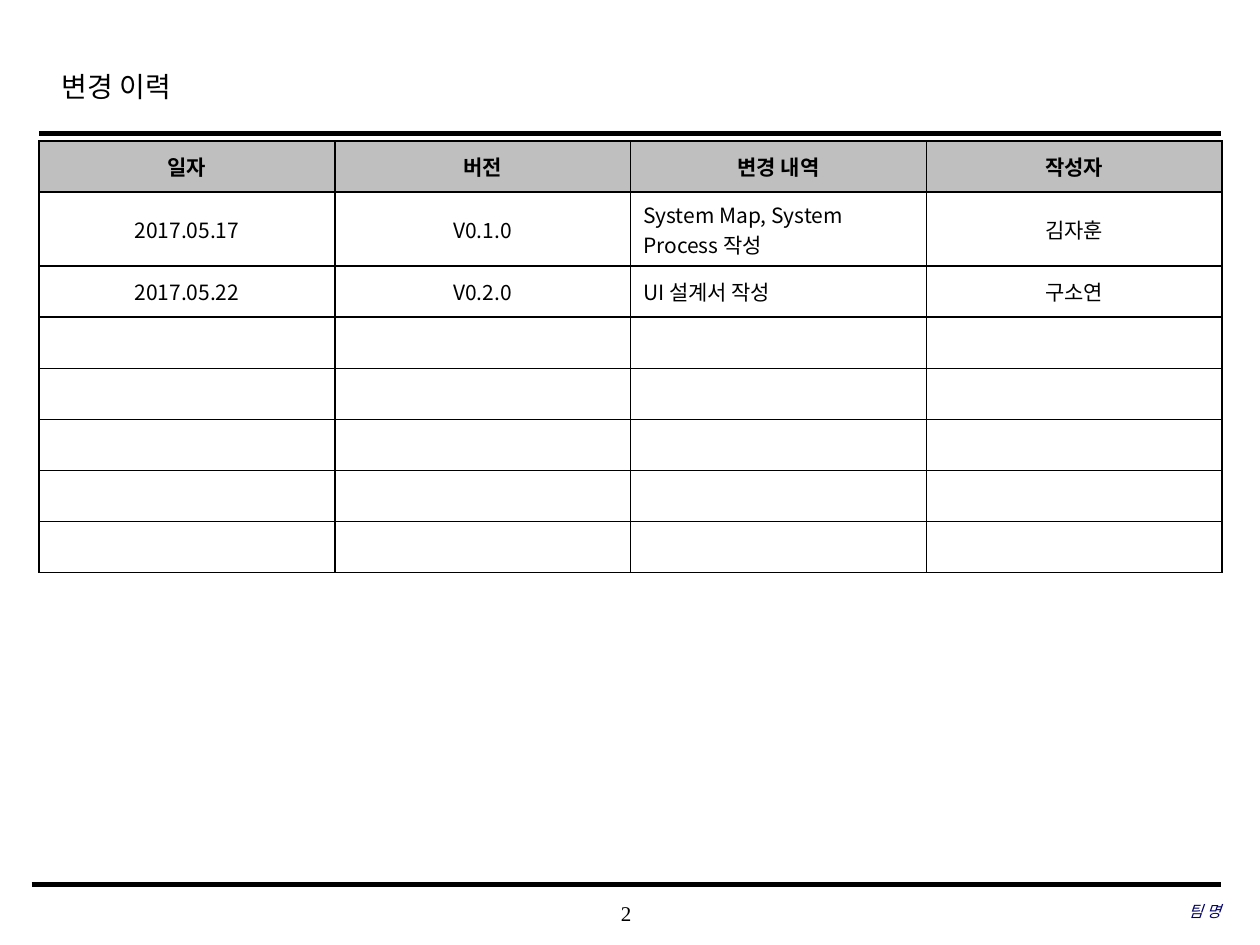
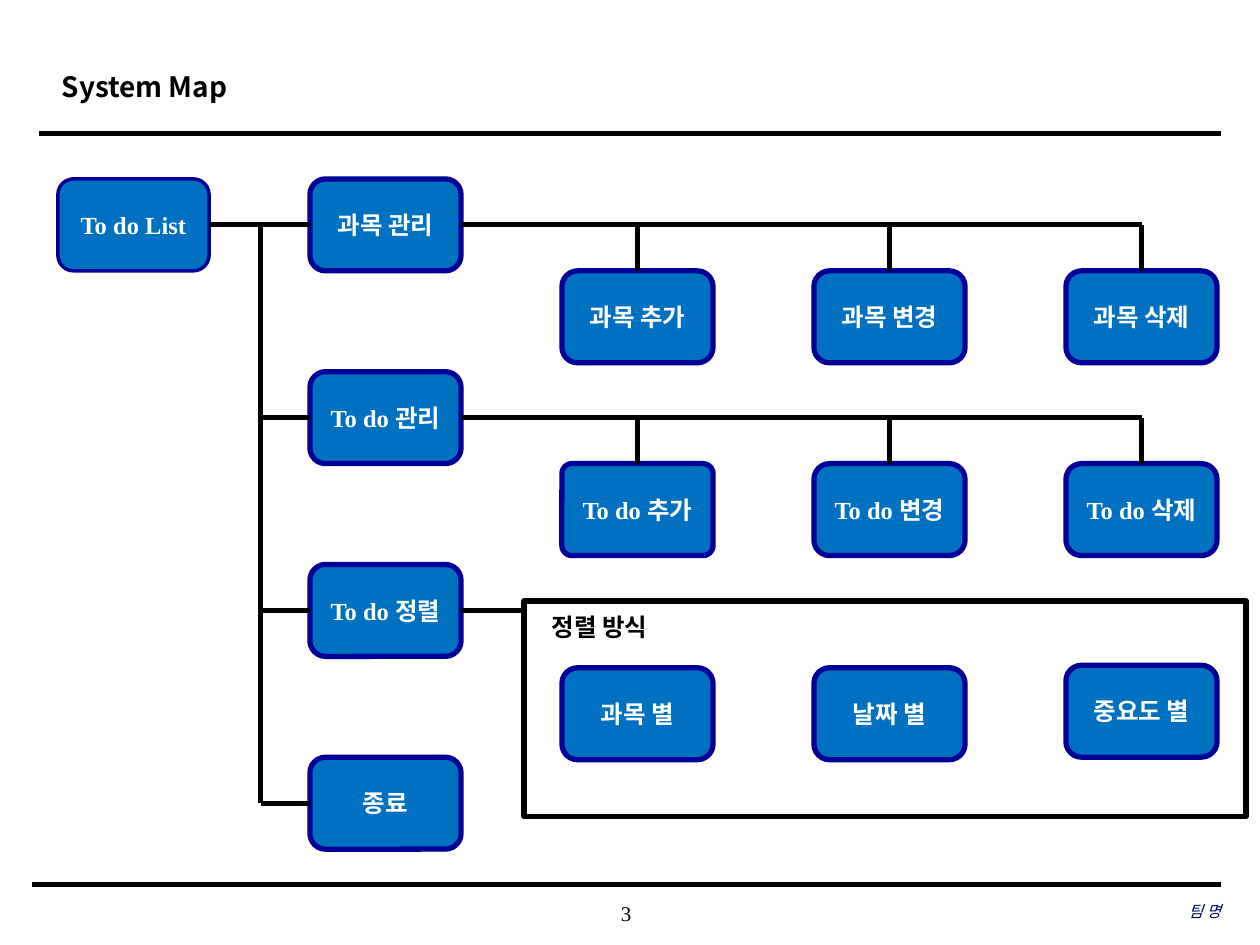
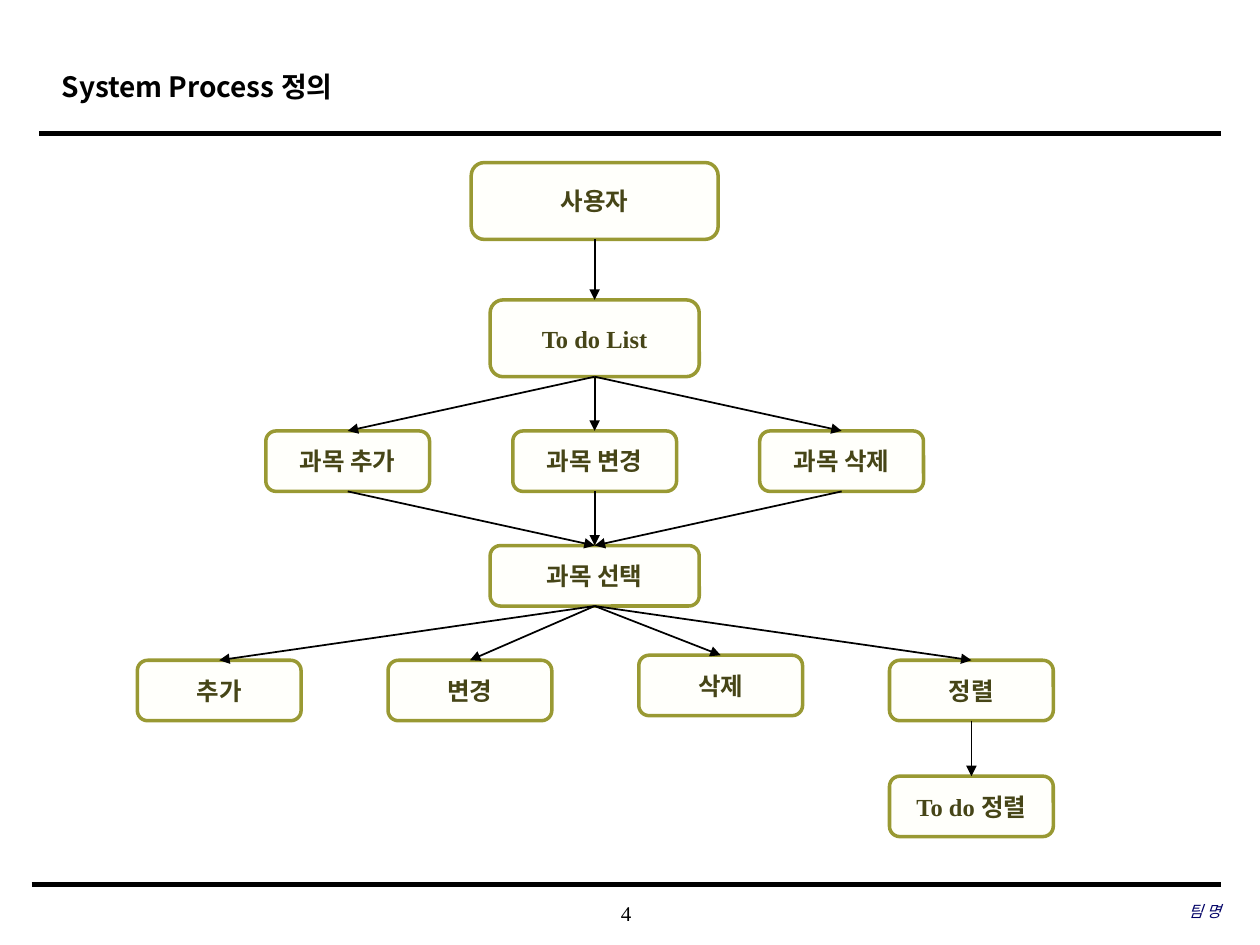
from dataclasses import dataclass
from typing import NamedTuple, Union

from lxml.etree import SubElement
from pptx import Presentation
from pptx.dml.color import RGBColor
from pptx.enum.shapes import MSO_CONNECTOR, MSO_SHAPE
from pptx.enum.text import MSO_ANCHOR, MSO_AUTO_SIZE, PP_ALIGN
from pptx.oxml.ns import qn
from pptx.util import Cm, Emu, Inches, Pt

SERIF = "Times New Roman"
SANS = "Noto Sans CJK KR"
BLACK = "000000"
WHITE = "FFFFFF"
HEADER_GREY = "BFBFBF"
TEAM_NAVY = "000066"

SLIDE_W, SLIDE_H = Inches(10), Inches(7.5)
COLUMNS, ROWS = 10, 7.5
TOP, LEFT, BOTTOM, RIGHT = range(4)
TITLE_LAYOUT = 5
TABLE_ROWS = 8
ONE_LINE, TWO_LINES = Cm(1.03), Cm(1.49)


class Point(NamedTuple):
    x: float
    y: float


class Area(NamedTuple):
    x: float
    y: float
    w: float
    h: float


class Side(NamedTuple):
    shape: object
    site: int


class BoxStyle(NamedTuple):
    fill: str
    line: str
    text: str
    weight: float


@dataclass(frozen=True)
class TextStyle:
    size: float
    font: str = SERIF
    color: str = BLACK
    bold: bool = False
    italic: bool = False


@dataclass(frozen=True)
class Box:
    text: str
    area: Area
    weight: float = 0
    rounding: float = 0.17


End = Union[Point, Side]

MAP_STYLE = BoxStyle("0070C0", "000099", WHITE, 3)
FLOW_STYLE = BoxStyle("FFFFFB", "999933", "464517", 2)


def col(n: float) -> Emu:
    return Emu(round(SLIDE_W * n / COLUMNS))


def row(n: float) -> Emu:
    return Emu(round(SLIDE_H * n / ROWS))


def place(area: Area) -> tuple:
    return col(area.x), row(area.y), col(area.w), row(area.h)


def rgb(value: str) -> RGBColor:
    return RGBColor.from_string(value)


def write(p, text: str, style: TextStyle, align=PP_ALIGN.LEFT) -> None:
    p.alignment = align
    r = p.add_run()
    r.text = text
    font = r.font
    font.size, font.bold, font.italic = Pt(style.size), style.bold, style.italic
    font.color.rgb = rgb(style.color)
    font.name = style.font
    SubElement(font._element, qn("a:ea")).set("typeface", SANS)


def add_label(s, area: Area, text: str, style: TextStyle, align=PP_ALIGN.LEFT,
              inset: bool = False) -> None:
    tf = s.shapes.add_textbox(*place(area)).text_frame
    tf.word_wrap = True
    if not inset:
        tf.vertical_anchor = MSO_ANCHOR.MIDDLE
        tf.margin_left = tf.margin_right = tf.margin_top = tf.margin_bottom = 0
    write(tf.paragraphs[0], text, style, align)


def add_shape(s, kind, area: Area, fill: str, line: str, weight: float):
    sp = s.shapes.add_shape(kind, *place(area))
    sp.shadow.inherit = False
    sp.fill.solid()
    sp.fill.fore_color.rgb = rgb(fill)
    sp.line.color.rgb = rgb(line)
    sp.line.width = Pt(weight)
    return sp


def add_box(s, box: Box, style: BoxStyle):
    sp = add_shape(s, MSO_SHAPE.ROUNDED_RECTANGLE, box.area, style.fill,
                   style.line, box.weight or style.weight)
    sp.adjustments[0] = box.rounding
    tf = sp.text_frame
    tf.word_wrap = False
    tf.vertical_anchor = MSO_ANCHOR.MIDDLE
    write(tf.paragraphs[0], box.text, TextStyle(14, color=style.text, bold=True),
          PP_ALIGN.CENTER)
    return sp


def locate(end: End) -> tuple:
    if isinstance(end, Point):
        return col(end.x), row(end.y)
    sp = end.shape
    dx, dy = {TOP: (1, 0), LEFT: (0, 1), BOTTOM: (1, 2), RIGHT: (2, 1)}[end.site]
    return sp.left + sp.width * dx // 2, sp.top + sp.height * dy // 2


def connect(s, begin: End, end: End, weight: float = 3, arrow: bool = False) -> None:
    cn = s.shapes.add_connector(MSO_CONNECTOR.STRAIGHT, *locate(begin), *locate(end))
    if isinstance(begin, Side):
        cn.begin_connect(*begin)
    if isinstance(end, Side):
        cn.end_connect(*end)
    cn.line.color.rgb = rgb(BLACK)
    cn.line.width = Pt(weight)
    if arrow:
        SubElement(cn.line._get_or_add_ln(), qn("a:tailEnd")).set("type", "triangle")
    SubElement(cn._element.spPr, qn("a:effectLst"))


def add_page(prs, number: int, title: str, style: TextStyle):
    s = prs.slides.add_slide(prs.slide_layouts[TITLE_LAYOUT])
    sp = s.shapes.title
    sp.left, sp.top, sp.width, sp.height = place(Area(0.39, 0.49, 7.55, 0.5))
    tf = sp.text_frame
    tf.auto_size = MSO_AUTO_SIZE.NONE
    tf.vertical_anchor = MSO_ANCHOR.TOP
    tf.margin_top = row(0.01)
    tf.paragraphs[0].line_spacing = 1.2
    write(tf.paragraphs[0], title, style)
    connect(s, Point(0.31, 1.06), Point(9.69, 1.06), 2.5)
    connect(s, Point(0.25, 7.02), Point(9.69, 7.02))
    add_label(s, Area(3.93, 7.08, 2.08, 0.33), str(number), TextStyle(12),
              PP_ALIGN.CENTER)
    add_label(s, Area(6.63, 7.07, 3.06, 0.33), "팀 명",
              TextStyle(9, color=TEAM_NAVY, italic=True), PP_ALIGN.RIGHT)
    return s


def format_cell(cell, text: str, header: bool, align) -> None:
    tcPr = cell._tc.get_or_add_tcPr()
    for edge in ("lnL", "lnR", "lnT", "lnB"):
        ln = SubElement(tcPr, qn(f"a:{edge}"), w=str(Pt(1)))
        fill = SubElement(ln, qn("a:solidFill"))
        SubElement(fill, qn("a:srgbClr"), val=BLACK)
    cell.fill.solid()
    cell.fill.fore_color.rgb = rgb(HEADER_GREY if header else WHITE)
    cell.vertical_anchor = MSO_ANCHOR.MIDDLE
    p = cell.text_frame.paragraphs[0]
    if text:
        write(p, text, TextStyle(12, SANS, bold=header), align)
    else:
        SubElement(p._p, qn("a:endParaRPr"), sz="1200")


def history_slide(prs) -> None:
    s = add_page(prs, 2, "변경 이력", TextStyle(16))
    entries = [
        ("일자", "버전", "변경 내역", "작성자"),
        ("2017.05.17", "V0.1.0", "System Map, System Process 작성", "김자훈"),
        ("2017.05.22", "V0.2.0", "UI 설계서 작성", "구소연"),
    ]
    fields = len(entries[0])
    entries += [("",) * fields] * (TABLE_ROWS - len(entries))
    table = s.shapes.add_table(TABLE_ROWS, fields,
                               *place(Area(0.31, 1.12, 9.39, 3.42))).table
    table.first_row = table.horz_banding = False
    for i, entry in enumerate(entries):
        table.rows[i].height = TWO_LINES if i == 1 else ONE_LINE
        for j, text in enumerate(entry):
            left = i > 0 and j == 2
            format_cell(table.cell(i, j), text, i == 0,
                        PP_ALIGN.LEFT if left else PP_ALIGN.CENTER)


def map_slide(prs) -> None:
    s = add_page(prs, 3, "System Map", TextStyle(16, SANS, bold=True))
    w, h = 1.2, 0.73
    trunk = 2.07

    def map_area(column: int, level: int, drop: float = 0) -> Area:
        return Area(0.46 + 2 * column, 1.42 + 1.53 * level + drop, w, h)

    add_shape(s, MSO_SHAPE.RECTANGLE, Area(4.16, 4.77, 5.73, 1.71), WHITE, BLACK, 3)
    root = add_box(s, Box("To do List", map_area(0, 0), weight=2), MAP_STYLE)
    menus = [add_box(s, Box(text, map_area(1, i)), MAP_STYLE)
             for i, text in enumerate(("과목 관리", "To do 관리", "To do 정렬", "종료"))]
    middles = [map_area(1, i).y + h / 2 for i in range(len(menus))]

    commands = [("과목 추가", "과목 변경", "과목 삭제"),
                ("To do 추가", "To do 변경", "To do 삭제")]
    for level, texts in enumerate(commands):
        y = middles[level]
        last = map_area(1 + len(texts), level).x + w / 2
        connect(s, Side(menus[level], RIGHT), Point(last, y))
        for column, text in enumerate(texts, 2):
            area = map_area(column, level, h)
            rounding = 0.11 if text == "To do 추가" else 0.17
            sp = add_box(s, Box(text, area, rounding=rounding), MAP_STYLE)
            connect(s, Side(sp, TOP), Point(area.x + w / 2, y))

    orders = (("과목 별", 0.82), ("날짜 별", 0.82), ("중요도 별", 0.8))
    for column, (text, drop) in enumerate(orders, 2):
        add_box(s, Box(text, map_area(column, 2, drop)), MAP_STYLE)

    connect(s, Side(root, RIGHT), Side(menus[0], LEFT))
    connect(s, Point(trunk, middles[0]), Point(trunk, middles[-1]))
    for menu, y in zip(menus[1:], middles[1:]):
        connect(s, Side(menu, LEFT), Point(trunk, y))
    connect(s, Side(menus[2], RIGHT), Point(4.16, middles[2]))
    add_label(s, Area(4.28, 4.81, 1.39, 0.34), "정렬 방식",
              TextStyle(14, bold=True), inset=True)


def process_slide(prs) -> None:
    s = add_page(prs, 4, "System Process 정의", TextStyle(16, SANS, bold=True))
    axis = 4.72

    def step(text: str, center: float, y: float, w: float = 1.3, h: float = 0.48):
        return add_box(s, Box(text, Area(center - w / 2, y, w, h)), FLOW_STYLE)

    user = step("사용자", axis, 1.29, 1.96, 0.61)
    todo = step("To do List", axis, 2.38, 1.66, 0.61)
    subjects = [step(text, axis + 1.96 * (i - 1), 3.42)
                for i, text in enumerate(("과목 추가", "과목 변경", "과목 삭제"))]
    choice = step("과목 선택", axis, 4.33, 1.66)
    actions = [step(text, 1.74 + 1.99 * i, y) for i, (text, y) in enumerate(
        (("추가", 5.24), ("변경", 5.24), ("삭제", 5.2), ("정렬", 5.24)))]
    sort = step("To do 정렬", 7.71, 6.16)

    flows = [(user, todo)]
    flows += [(todo, subject) for subject in subjects]
    flows += [(subject, choice) for subject in subjects]
    flows += [(choice, action) for action in actions]
    flows += [(actions[-1], sort)]
    for source, target in flows:
        connect(s, Side(source, BOTTOM), Side(target, TOP), 1, arrow=True)


def main() -> None:
    prs = Presentation()
    prs.slide_width, prs.slide_height = SLIDE_W, SLIDE_H
    history_slide(prs)
    map_slide(prs)
    process_slide(prs)
    prs.save("out.pptx")


if __name__ == "__main__":
    main()
